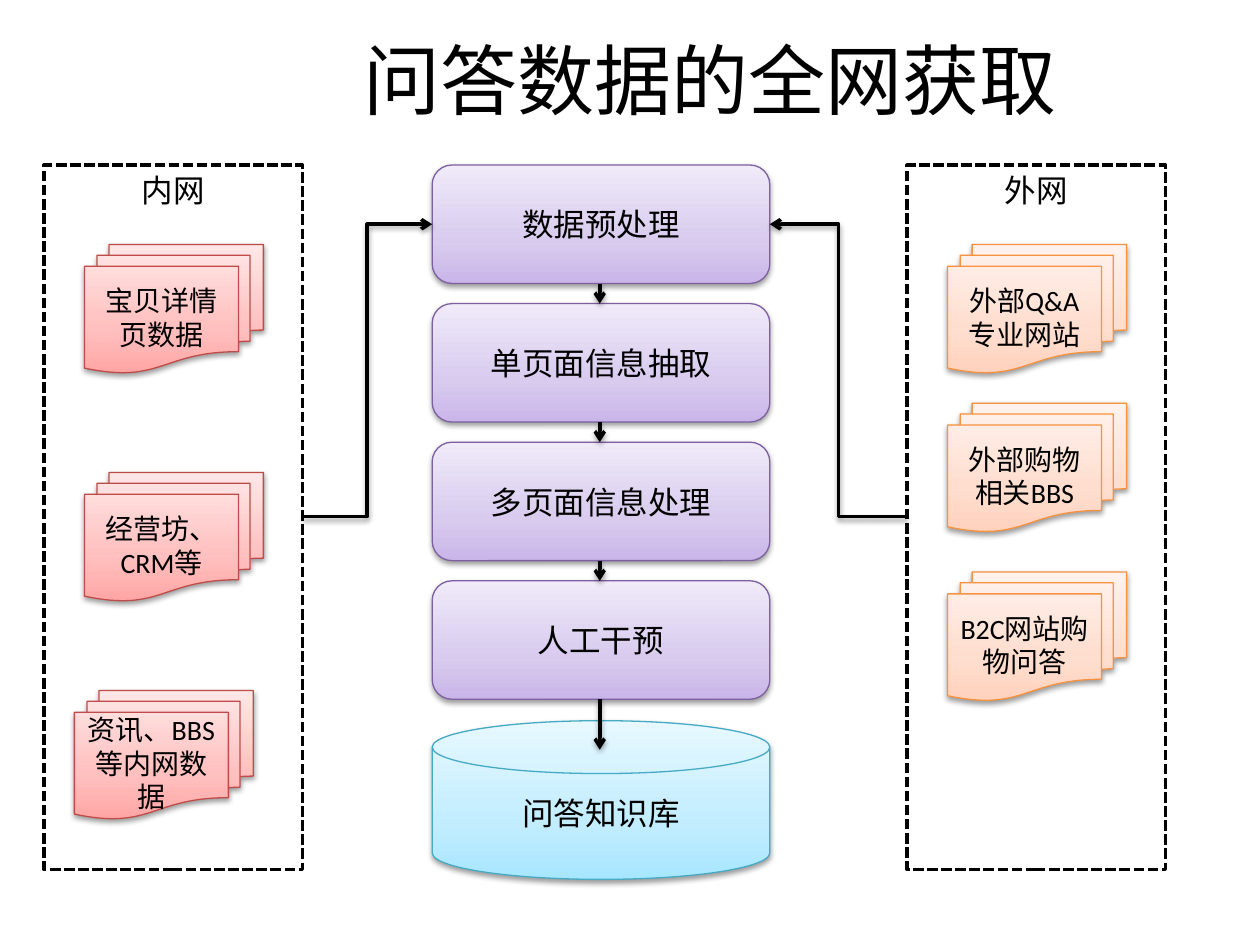
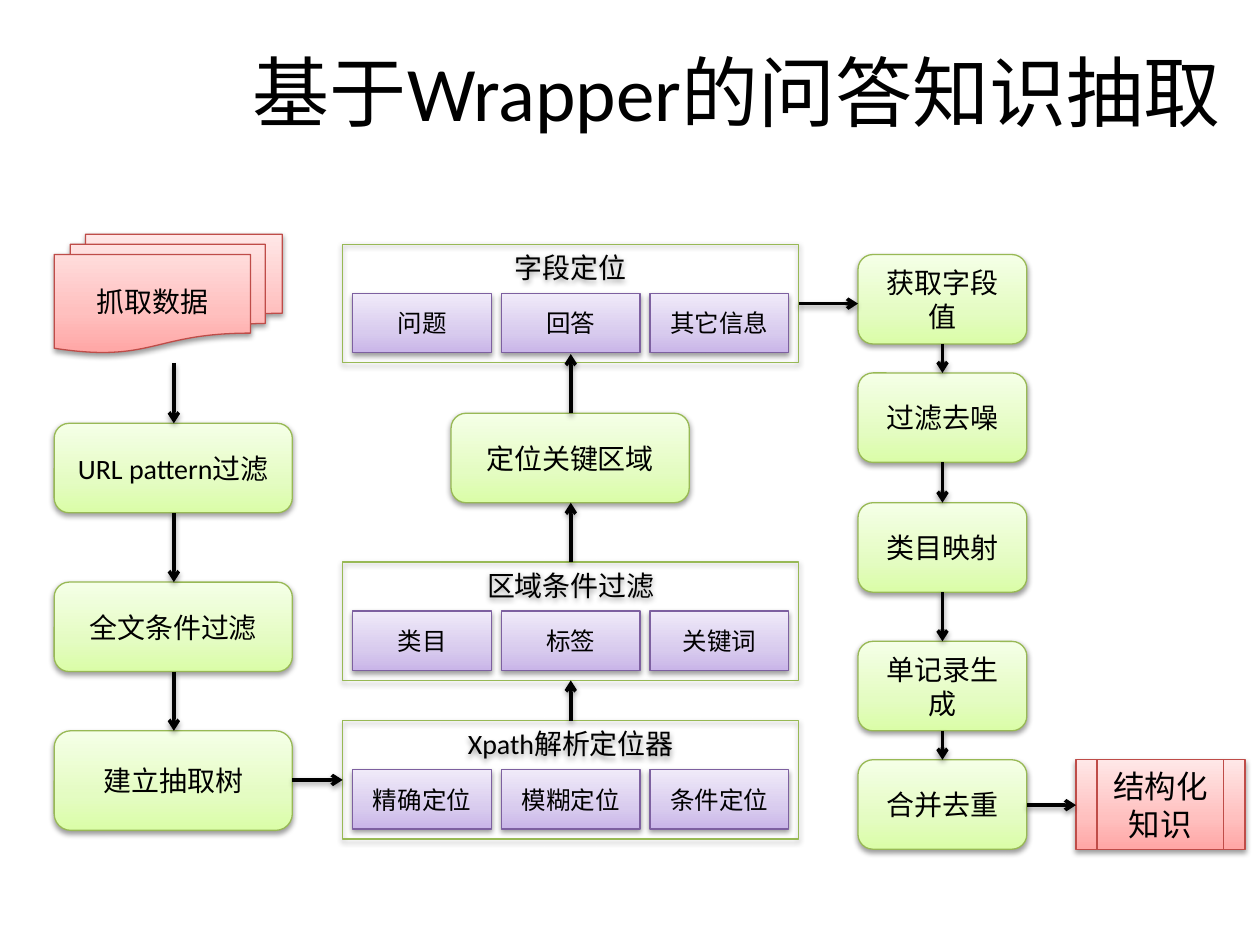
from itertools import pairwise
from lxml.etree import SubElement as Sub
from pptx import Presentation
from pptx.dml.color import RGBColor
from pptx.enum.dml import MSO_LINE_DASH_STYLE as Dash
from pptx.enum.shapes import MSO_CONNECTOR as Conn, MSO_SHAPE as Geo
from pptx.enum.text import MSO_ANCHOR as Anchor, MSO_AUTO_SIZE as Auto, PP_ALIGN as Align
from pptx.oxml import parse_xml
from pptx.oxml.ns import nsdecls, qn
from pptx.util import Inches, Pt

FONT = "Calibri"
INK = "000000"
RED = ("BF4C48", "FFA6A5", "FFC0BF", "FFE7E7")
ORANGE = ("F69240", "FFD2BD", "FFDED0", "FFF2ED")
VIOLET = ("7D60A0", "C9B5E8", "D8CBEE", "F0EAF9")
BLUE = ("46AAC5", "A7E6FF", "C1EDFF", "E7F8FF")
GREEN = ("98B955", "DAFDA7", "E4FCC2", "F5FFE7")

WEB_TITLE = "问答数据的全网获取"
NETS = [("内网", 0.35), ("外网", 7.2)]
DOCS = [
    ("宝贝详情页数据", 0.67, 1.94, RED),
    ("经营坊、CRM等", 0.67, 3.75, RED),
    ("资讯、BBS等内网数据", 0.59, 5.48, RED),
    ("外部Q&A专业网站", 7.52, 1.94, ORANGE),
    ("外部购物相关BBS", 7.52, 3.2, ORANGE),
    ("B2C网站购物问答", 7.52, 4.54, ORANGE),
]
STEPS = ["数据预处理", "单页面信息抽取", "多页面信息处理", "人工干预"]
STORE = "问答知识库"

WRAP_TITLE = "基于Wrapper的问答知识抽取"
SOURCE = "抓取数据"
FILTERS = [("URL pattern过滤", 3.36, 0.71), ("全文条件过滤", 4.62, 0.71), ("建立抽取树", 5.8, 0.79)]
PANELS = [
    ("Xpath解析定位器", 5.72, ["精确定位", "模糊定位", "条件定位"]),
    ("区域条件过滤", 4.46, ["类目", "标签", "关键词"]),
    ("字段定位", 1.94, ["问题", "回答", "其它信息"]),
]
AREA = "定位关键区域"
RISES = [(5.72, 5.4), (4.46, 3.99), (3.28, 2.81)]
FIELDS = [("获取字段值", 2.02), ("过滤去噪", 2.96), ("类目映射", 3.99), ("单记录生成", 5.09), ("合并去重", 6.03)]
RESULT = "结构化知识"


def color(code):
    return RGBColor.from_string(code)


def stroke(line, code, width):
    line.color.rgb = color(code)
    line.width = Pt(width)


def shade(props):
    for old in props.findall(qn("a:effectLst")):
        props.remove(old)
    props.append(parse_xml(
        f'<a:effectLst {nsdecls("a")}><a:outerShdw blurRad="40000" dist="20000" dir="5400000" '
        'rotWithShape="0"><a:srgbClr val="000000"><a:alpha val="38000"/></a:srgbClr>'
        '</a:outerShdw></a:effectLst>'))


def blend(shape, tones):
    stops = "".join(
        f'<a:gs pos="{pos}"><a:srgbClr val="{tone}"/></a:gs>'
        for pos, tone in zip((0, 35000, 100000), tones))
    grad = parse_xml(
        f'<a:gradFill {nsdecls("a")} rotWithShape="1"><a:gsLst>{stops}</a:gsLst>'
        '<a:lin ang="16200000" scaled="0"/></a:gradFill>')
    shape.element.spPr.find(qn("a:prstGeom")).addnext(grad)


def write(frame, text, size, anchor):
    frame.word_wrap = True
    frame.auto_size = Auto.NONE
    frame.vertical_anchor = anchor
    para = frame.paragraphs[0]
    para.text = text
    para.alignment = Align.CENTER
    para.font.name = FONT
    para.font.size = Pt(size)
    para.font.color.rgb = color(INK)


def shape(shapes, geo, at, text, size, anchor):
    item = shapes.add_shape(geo, *map(Inches, at))
    item.shadow.inherit = False
    write(item.text_frame, text, size, anchor)
    return item


def box(shapes, geo, at, text, look, size=16):
    item = shape(shapes, geo, at, text, size, Anchor.MIDDLE)
    blend(item, look[1:])
    stroke(item.line, look[0], 0.75)
    shade(item.element.spPr)


def frame(shapes, at, text, size, edge, width):
    item = shape(shapes, Geo.RECTANGLE, at, text, size, Anchor.TOP)
    item.fill.background()
    stroke(item.line, edge, width)
    return item


def arrow(shapes, x1, y1, x2, y2, kind=Conn.STRAIGHT):
    item = shapes.add_connector(kind, *map(Inches, (x1, y1, x2, y2)))
    stroke(item.line, INK, 2)
    Sub(item.line._get_or_add_ln(), qn("a:tailEnd"), type="arrow")
    shade(item.element.spPr)


def start(deck, text, left, top):
    shapes = deck.slides.add_slide(deck.slide_layouts[5]).shapes
    title = shapes.title
    title.left, title.top, title.width, title.height = map(Inches, (left, top, 9, 1.25))
    write(title.text_frame, text, 44, Anchor.TOP)
    return shapes


def web(deck):
    shapes = start(deck, WEB_TITLE, 1.14, 0.21)
    for text, left, top, look in DOCS:
        box(shapes, Geo.FLOWCHART_MULTIDOCUMENT, (left, top, 1.42, 1.02), text, look)
    for text, left in NETS:
        net = frame(shapes, (left, 1.31, 2.05, 5.59), text, 18, INK, 2)
        net.line.dash_style = Dash.SQUARE_DOT
    left, wide, high, mid = 3.43, 2.68, 0.94, 4.76
    tops = [1.31 + 1.1 * i for i in range(len(STEPS))]
    box(shapes, Geo.FLOWCHART_MAGNETIC_DISK, (left, 5.72, wide, 1.26), STORE, BLUE, 18)
    for text, top in zip(STEPS, tops):
        box(shapes, Geo.ROUNDED_RECTANGLE, (left, top, wide, high), text, VIOLET, 18)
    for top, end in pairwise(tops + [5.95]):
        arrow(shapes, mid, top + high, mid, end)
    for x, end in [(2.4, left), (7.2, left + wide)]:
        arrow(shapes, x, 4.1, end, 1.78, Conn.ELBOW)


def panel(shapes, text, top, cells):
    group = shapes.add_group_shape().shapes
    for i, cell in enumerate(cells):
        at = (2.8 + 1.18 * i, top + 0.39, 1.1, 0.47)
        box(group, Geo.RECTANGLE, at, cell, VIOLET, 14)
    item = frame(group, (2.72, top, 3.62, 0.94), text, 16, GREEN[0], 0.75)
    shade(item.element.spPr)


def wrapper(deck):
    shapes = start(deck, WRAP_TITLE, 1.35, 0.3)
    box(shapes, Geo.FLOWCHART_MULTIDOCUMENT, (0.43, 1.86, 1.81, 0.94), SOURCE, RED)
    base = 2.88
    for text, top, high in FILTERS:
        box(shapes, Geo.ROUNDED_RECTANGLE, (0.43, top, 1.89, high), text, GREEN)
        arrow(shapes, 1.38, base, 1.38, top)
        base = top + high
    for text, top, cells in PANELS:
        panel(shapes, text, top, cells)
    box(shapes, Geo.ROUNDED_RECTANGLE, (3.58, 3.28, 1.89, 0.71), AREA, GREEN)
    for low, high in RISES:
        arrow(shapes, 4.53, low, 4.53, high)
    for text, top in FIELDS:
        box(shapes, Geo.ROUNDED_RECTANGLE, (6.81, top, 1.34, 0.71), text, GREEN)
    for (_, top), (_, end) in pairwise(FIELDS):
        arrow(shapes, 7.48, top + 0.71, 7.48, end)
    box(shapes, Geo.FLOWCHART_PREDEFINED_PROCESS, (8.54, 6.03, 1.34, 0.71), RESULT, RED, 18)
    for x, y, end in [(2.32, 6.19, 2.72), (6.34, 2.41, 6.81), (8.15, 6.39, 8.54)]:
        arrow(shapes, x, y, end, y)


def main():
    deck = Presentation()
    deck.slide_width, deck.slide_height = Inches(10), Inches(7.5)
    web(deck)
    wrapper(deck)
    deck.save("out.pptx")


if __name__ == "__main__":
    main()
